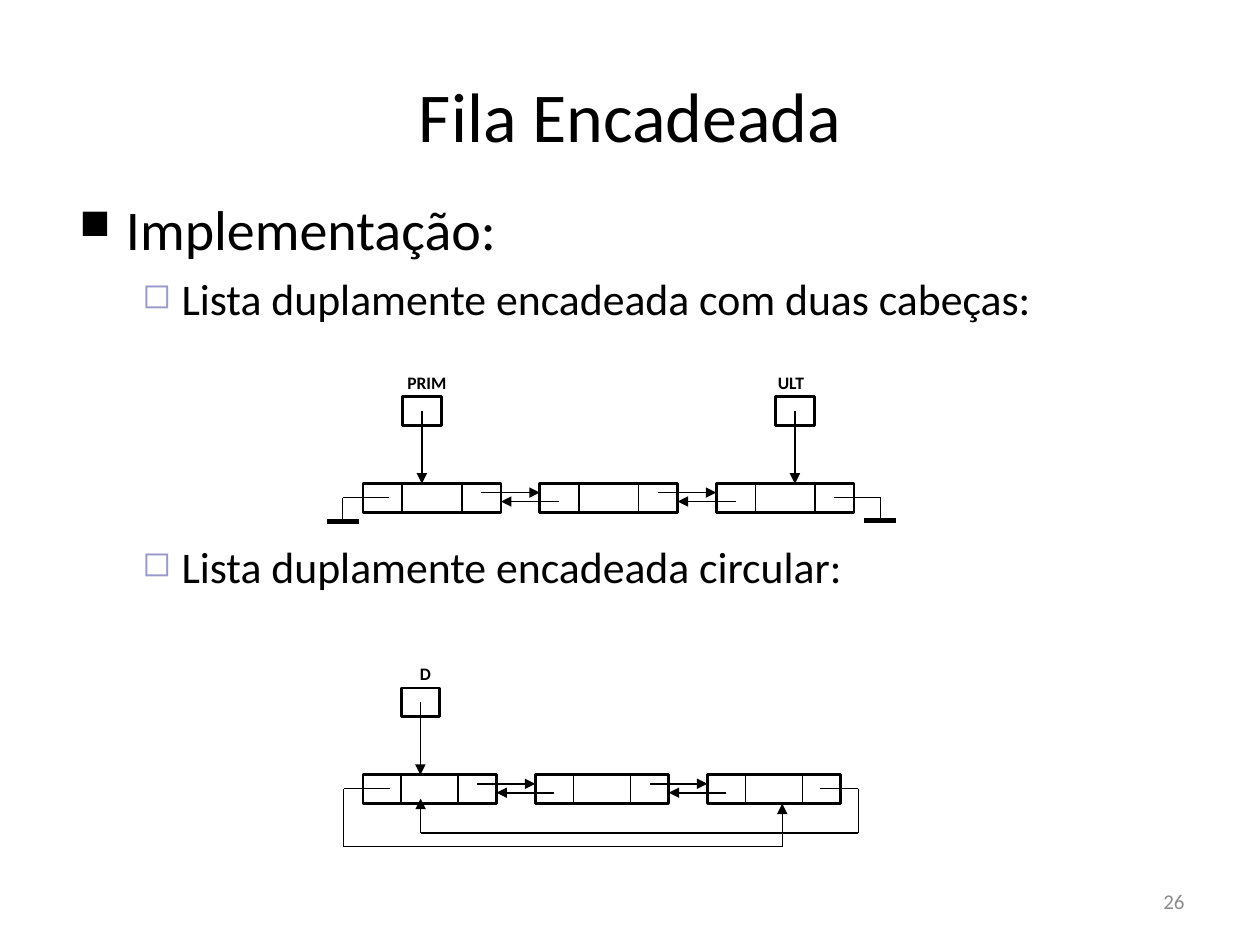
"""Build the slide on queues made from doubly linked lists."""
from dataclasses import dataclass
from itertools import pairwise

from lxml.etree import SubElement
from pptx import Presentation
from pptx.dml.color import RGBColor
from pptx.enum.shapes import MSO_CONNECTOR as Link, MSO_SHAPE as Preset
from pptx.enum.text import MSO_ANCHOR as Anchor, PP_ALIGN as Align
from pptx.oxml.ns import qn
from pptx.util import Cm, Pt

COLOURS = {"ink": "000000", "paper": "FFFFFF", "bullet": "9999CC", "number": "8C8C8C"}
FONT = "Calibri"
BOX_HEIGHT = 0.58
HEAD_RISE = 1.75
WIRE_DROP = 0.28
Point = tuple[float, float]


@dataclass
class Bullet:
    text: str
    size: float
    symbol: str
    colour: str
    percent: int
    margin: float
    hanging: float
    before: float = 0
    spacing: float = 1.0


@dataclass
class Head:
    label: str
    node: int
    offset: float
    label_width: float
    label_shift: float = 0


@dataclass
class Wire:
    points: list[Point]
    weight: float = 0.75
    arrow: bool = False


@dataclass
class LinkedList:
    left: float
    top: float
    width: float
    pitch: float
    field: float
    heads: list[Head]
    wires: list[Wire]
    nodes: int = 3


BULLETS = [
    Bullet("Implementação:", 32, "■", "ink", 75, 0.94, 0.94, spacing=0.91),
    Bullet("Lista duplamente encadeada com duas cabeças:", 25, "◻", "bullet", 80, 2.06, 0.79, 5),
    Bullet("Lista duplamente encadeada circular:", 25, "◻", "bullet", 80, 2.06, 0.79, 123),
]

LISTS = [
    LinkedList(
        7.32, 9.75, 2.78, 3.56, 0.79,
        [Head("PRIM", 0, 0.79, 1.57), Head("ULT", 2, 1.19, 1.98, -0.18)],
        [
            Wire([(7.85, 10.03), (6.91, 10.03), (6.91, 10.49)]),
            Wire([(6.6, 10.52), (7.24, 10.52)], 3),
            Wire([(16.81, 10.03), (17.75, 10.03), (17.75, 10.49)]),
            Wire([(17.42, 10.49), (18.06, 10.49)], 3),
        ],
    ),
    LinkedList(
        7.32, 15.62, 2.69, 3.47, 0.77,
        [Head("D", 0, 0.77, 1.52)],
        [
            Wire([(7.87, 15.9), (6.93, 15.9), (6.93, 17.07), (15.77, 17.07), (15.77, 16.2)], arrow=True),
            Wire([(16.54, 15.9), (17.3, 15.9), (17.3, 16.79), (8.48, 16.79), (8.48, 16.1)], arrow=True),
        ],
    ),
]


def colour(name: str) -> RGBColor:
    """Look up a colour by name."""
    return RGBColor.from_string(COLOURS[name])


def style_text(para, size: float, ink: str = "ink", bold: bool = False) -> None:
    """Format every run of a paragraph."""
    for span in para.runs:
        span.font.name = FONT
        span.font.size = Pt(size)
        span.font.bold = bold
        span.font.color.rgb = colour(ink)


def add_text(page, text: str, place: tuple, size: float, align: Align, ink: str = "ink") -> None:
    """Add a one-line text box centred vertically."""
    frame = page.shapes.add_textbox(*map(Cm, place)).text_frame
    frame.word_wrap = True
    frame.vertical_anchor = Anchor.MIDDLE
    frame.text = text
    frame.paragraphs[0].alignment = align
    style_text(frame.paragraphs[0], size, ink)


def add_bullets(page, bullets: list[Bullet]) -> None:
    """Add the bulleted body text."""
    frame = page.shapes.add_textbox(Cm(1.35), Cm(3.84), Cm(22.94), Cm(14.38)).text_frame
    frame.word_wrap = True
    frame.margin_top = Cm(0.23)
    for index, bullet in enumerate(bullets):
        para = frame.add_paragraph() if index else frame.paragraphs[0]
        para.text = bullet.text
        para.level = min(index, 1)
        para.space_before = Pt(bullet.before)
        para.line_spacing = bullet.spacing
        style_text(para, bullet.size)
        props = para._p.get_or_add_pPr()
        props.set("marL", str(Cm(bullet.margin)))
        props.set("indent", str(-Cm(bullet.hanging)))
        tint = SubElement(props, qn("a:buClr"))
        SubElement(tint, qn("a:srgbClr"), val=COLOURS[bullet.colour])
        SubElement(props, qn("a:buSzPct"), val=str(bullet.percent * 1000))
        SubElement(props, qn("a:buChar"), char=bullet.symbol)


def add_box(group, left: float, top: float, width: float, outlined: bool = True):
    """Add a white rectangle, outlined or plain."""
    box = group.shapes.add_shape(Preset.RECTANGLE, Cm(left), Cm(top), Cm(width), Cm(BOX_HEIGHT))
    box.shadow.inherit = False
    box.fill.solid()
    box.fill.fore_color.rgb = colour("paper")
    if outlined:
        box.line.color.rgb = colour("ink")
        box.line.width = Pt(1.5)
    else:
        box.line.fill.background()
    return box


def add_line(group, start: Point, end: Point, weight: float = 1, arrow: bool = False) -> None:
    """Add a straight line with an optional arrowhead at its end."""
    line = group.shapes.add_connector(Link.STRAIGHT, *map(Cm, start + end))
    line.line.color.rgb = colour("ink")
    line.line.width = Pt(weight)
    if arrow:
        SubElement(line.line._get_or_add_ln(), qn("a:tailEnd"), type="triangle")
    SubElement(line._element.spPr, qn("a:effectLst"))


def add_head(group, chain: LinkedList, head: Head) -> None:
    """Add a labelled head box pointing to its node."""
    left = chain.left + head.node * chain.pitch + head.offset
    top = chain.top - HEAD_RISE
    centre = left + chain.field / 2
    label_left = centre + head.label_shift - head.label_width / 2
    frame = add_box(group, label_left, top - BOX_HEIGHT, head.label_width, False).text_frame
    frame.margin_left = Cm(0.2)
    frame.margin_right = frame.margin_top = frame.margin_bottom = 0
    frame.vertical_anchor = Anchor.MIDDLE
    frame.text = head.label
    frame.paragraphs[0].alignment = Align.CENTER
    style_text(frame.paragraphs[0], 10, bold=True)
    add_box(group, left, top, chain.field)
    add_line(group, (centre, top + WIRE_DROP), (centre, chain.top), arrow=True)


def add_list(page, chain: LinkedList) -> None:
    """Draw a linked list with its heads, nodes, links and wires."""
    group = page.shapes.add_group_shape()
    for head in chain.heads:
        add_head(group, chain, head)
    lefts = [chain.left + index * chain.pitch for index in range(chain.nodes)]
    for left in lefts:
        add_box(group, left, chain.top, chain.width)
        for divider in (left + chain.field, left + chain.width - chain.field):
            add_line(group, (divider, chain.top), (divider, chain.top + BOX_HEIGHT))
    forward, backward = chain.top + 0.18, chain.top + 0.36
    for left, following in pairwise(lefts):
        right = left + chain.width
        add_line(group, (right - chain.field / 2, forward), (following, forward), arrow=True)
        add_line(group, (following + chain.field / 2, backward), (right, backward), arrow=True)
    for wire in chain.wires:
        for start, end in pairwise(wire.points):
            add_line(group, start, end, wire.weight, wire.arrow and end == wire.points[-1])


def main() -> None:
    """Build and save the deck."""
    deck = Presentation()
    deck.slide_width, deck.slide_height = Cm(25.4), Cm(19.05)
    page = deck.slides.add_slide(deck.slide_layouts[6])
    add_text(page, "26", (18.21, 17.65, 5.92, 1.02), 12, Align.RIGHT, "number")
    add_text(page, "Fila Encadeada", (1.27, 1.27, 22.86, 2.06), 40, Align.CENTER)
    add_bullets(page, BULLETS)
    for chain in LISTS:
        add_list(page, chain)
    deck.save("out.pptx")


if __name__ == "__main__":
    main()
